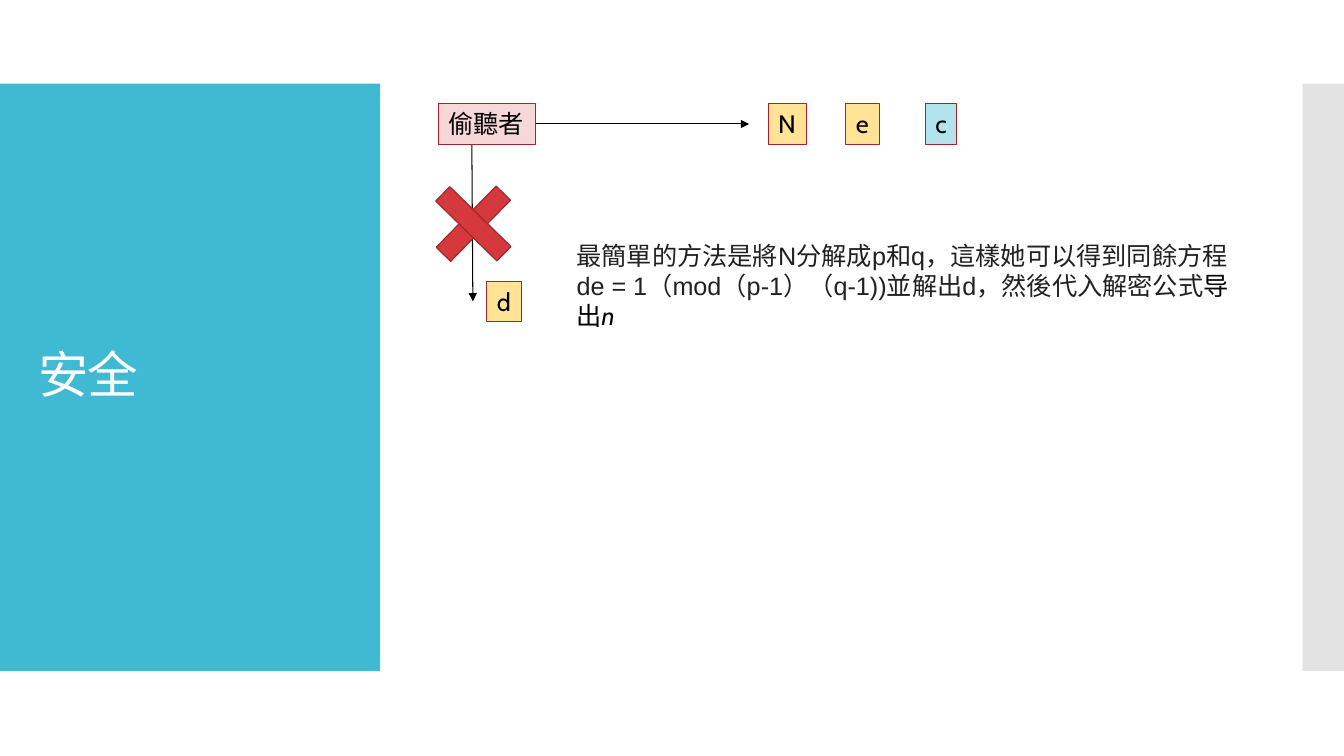
from dataclasses import dataclass

from lxml import etree
from pptx import Presentation
from pptx import util as u
from pptx.dml.color import RGBColor
from pptx.enum import shapes, text
from pptx.oxml.ns import qn


@dataclass(frozen=True)
class Theme:
    heading_font: str = "Cabin"
    body_font: str = "Arial"
    title_size: float = 36
    body_size: float = 18
    teal: str = "40BAD2"
    grey: str = "C8C8C8"
    white: str = "FFFFFF"
    black: str = "000000"
    ink: str = "212121"
    pink: str = "F7D7D8"
    yellow: str = "FFE497"
    sky: str = "B3E3ED"
    outline: str = "A72327"
    red: str = "D5393D"
    dark_red: str = "9E2A2D"


THEME = Theme()


@dataclass(frozen=True)
class Label:
    words: str
    left: float
    top: float
    width: float
    fill: str


@dataclass(frozen=True)
class Arrow:
    start: tuple[float, float]
    end: tuple[float, float]


@dataclass(frozen=True)
class Span:
    words: str
    font: str = THEME.heading_font
    color: str = THEME.black
    size: float = THEME.body_size
    italic: bool = False


ROW_TOP = 1.03
LABEL_HEIGHT = 0.4
LABELS = [
    Label("偷聽者", 4.35, ROW_TOP, 0.96, THEME.pink),
    Label("N", 7.62, ROW_TOP, 0.38, THEME.yellow),
    Label("e", 8.39, ROW_TOP, 0.33, THEME.yellow),
    Label("c", 9.18, ROW_TOP, 0.31, THEME.sky),
    Label("d", 4.83, 2.79, 0.34, THEME.yellow),
]
ARROWS = [Arrow((5.3, 1.23), (7.43, 1.23)), Arrow((4.68, 1.44), (4.69, 2.99))]
CROSS_ANGLES = (314.4, 224.4)
EXPLANATION = [
    Span("最簡單的方法是將N分解成p和q，這樣她可以得到同餘方程"
         "de = 1（mod（p-1）（q-1))並解出d，然後代入解密公式",
         THEME.body_font, THEME.ink),
    Span("导出"),
    Span("n", italic=True),
]


def set_all(target, values: dict) -> None:
    for name, value in values.items():
        setattr(target, name, value)


def add_rect(page, left: float, top: float, width: float, height: float,
             fill: str, line: str | None = None, line_width: float = 0.75):
    rect = page.shapes.add_shape(shapes.MSO_SHAPE.RECTANGLE,
                                 *map(u.Inches, (left, top, width, height)))
    rect.shadow.inherit = False
    rect.fill.solid()
    rect.fill.fore_color.rgb = RGBColor.from_string(fill)
    if line:
        rect.line.color.rgb = RGBColor.from_string(line)
        rect.line.width = u.Pt(line_width)
    else:
        rect.line.fill.background()
    return rect


def write(box, spans: list[Span], **frame_format):
    """Fill the first paragraph of a shape and return it."""
    set_all(box.text_frame, frame_format)
    para = box.text_frame.paragraphs[0]
    para.alignment = text.PP_ALIGN.LEFT
    for span in spans:
        run = para.add_run()
        run.text = span.words
        set_all(run.font, {"name": span.font, "size": u.Pt(span.size),
                           "italic": span.italic})
        run.font.color.rgb = RGBColor.from_string(span.color)
    return para


def add_text(page, left: float, top: float, width: float, height: float,
             spans: list[Span], **frame_format):
    box = page.shapes.add_textbox(*map(u.Inches, (left, top, width, height)))
    return write(box, spans, word_wrap=True, **frame_format)


def add_panels(page) -> None:
    add_rect(page, 0, 0.83, 3.77, 5.83, THEME.teal)
    strip = add_rect(page, 12.92, 0.83, 0.42, 5.83, THEME.grey)
    color = strip.fill._xPr.find(".//" + qn("a:srgbClr"))
    etree.SubElement(color, qn("a:alpha"), val="50000")


def add_title(page) -> None:
    title = Span("安全", color=THEME.white, size=THEME.title_size)
    para = add_text(page, 0.28, 1.23, 3.22, 5.03, [title],
                    vertical_anchor=text.MSO_ANCHOR.MIDDLE)
    para.line_spacing = 0.9
    para.runs[0].font._element.set("spc", "-60")


def add_label(page, label: Label) -> None:
    box = add_rect(page, label.left, label.top, label.width, LABEL_HEIGHT,
                   label.fill, THEME.outline)
    write(box, [Span(label.words)], word_wrap=False,
          auto_size=text.MSO_AUTO_SIZE.SHAPE_TO_FIT_TEXT,
          vertical_anchor=text.MSO_ANCHOR.TOP)


def add_arrow(page, arrow: Arrow) -> None:
    line = page.shapes.add_connector(shapes.MSO_CONNECTOR.STRAIGHT,
                                     *map(u.Inches, arrow.start + arrow.end))
    line.line.color.rgb = RGBColor.from_string(THEME.black)
    line.line.width = u.Pt(0.75)
    etree.SubElement(line.line._get_or_add_ln(), qn("a:tailEnd"), type="triangle")
    etree.SubElement(line._element.spPr, qn("a:effectLst"))


def add_cross(page) -> None:
    for angle in CROSS_ANGLES:
        bar = add_rect(page, 4.27, 2.12, 0.85, 0.2, THEME.red, THEME.dark_red, 0.85)
        bar.rotation = angle


def main() -> None:
    deck = Presentation()
    set_all(deck, {"slide_width": u.Inches(13.33), "slide_height": u.Inches(7.5)})
    page = deck.slides.add_slide(deck.slide_layouts[6])
    add_panels(page)
    add_title(page)
    for arrow in ARROWS:
        add_arrow(page, arrow)
    for label in LABELS:
        add_label(page, label)
    add_cross(page)
    add_text(page, 5.62, 2.03, 6.67, 1.31, EXPLANATION, margin_top=u.Inches(0.35),
             auto_size=text.MSO_AUTO_SIZE.SHAPE_TO_FIT_TEXT)
    deck.save("out.pptx")


if __name__ == "__main__":
    main()
